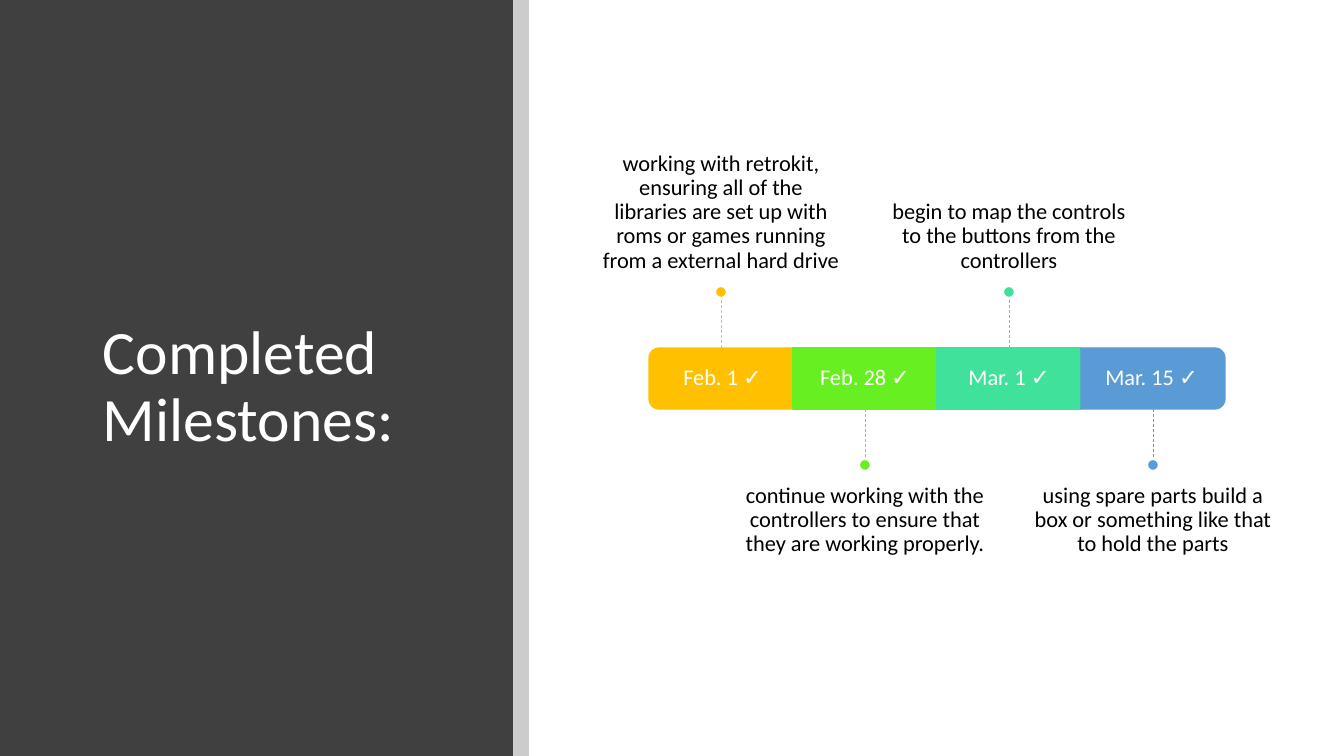
"""Build the completed milestones timeline slide."""
from dataclasses import dataclass

from lxml import etree
from pptx import Presentation
from pptx.dml.color import RGBColor
from pptx.enum.dml import MSO_LINE_DASH_STYLE as Dash
from pptx.enum.shapes import MSO_CONNECTOR as Link, MSO_SHAPE as Shape
from pptx.enum.text import MSO_ANCHOR as Anchor, PP_ALIGN as Align
from pptx.oxml.ns import qn
from pptx.util import Pt

TITLE = "Completed Milestones:"
MILESTONES = [
    ("Feb. 1 ✓", "working with retrokit, ensuring all of the libraries are set up with "
     "roms or games running from a external hard drive", "FFC000"),
    ("Feb. 28 ✓", "continue working with the controllers to ensure that they are "
     "working properly.", "67EF21"),
    ("Mar. 1 ✓", "begin to map the controls to the buttons from the controllers", "3FE19B"),
    ("Mar. 15 ✓", "using spare parts build a box or something like that to hold the parts",
     "5B9BD5"),
]


@dataclass(frozen=True)
class Theme:
    font: str = "Calibri"
    title_size: int = 44
    body_size: int = 16
    panel: str = "404040"
    light: str = "FFFFFF"
    dark: str = "000000"
    stripe_alpha: int = 20000


THEME = Theme()
SCALE = 914400 / 100.8
SLIDE_W, SLIDE_H = 1344, 756
PANEL_W, STRIPE_W = 513, 16
TITLE_BOX = (93, 90, 368, 596)
BAR_LEFT, BAR_TOP, SEGMENT_W, BAR_H = 649, 348, 144, 61
STEM, DOT, PAD, END_TRIM = 50, 12, 13, 3
CAPTION_W, CAPTION_H = 240, 215


def px(length):
    return round(length * SCALE)


def color(code):
    return RGBColor.from_string(code)


def add_shape(page, kind, bounds, fill, line=None, width=1):
    shape = page.shapes.add_shape(kind, *map(px, bounds))
    shape.shadow.inherit = False
    shape.fill.solid()
    shape.fill.fore_color.rgb = color(fill)
    if line:
        shape.line.color.rgb = color(line)
        shape.line.width = Pt(width)
    else:
        shape.line.fill.background()
    return shape


def add_text(page, bounds, text, size, ink, anchor, align, insets):
    box = page.shapes.add_textbox(*map(px, bounds))
    frame = box.text_frame
    frame.word_wrap = True
    frame.vertical_anchor = anchor
    (frame.margin_left, frame.margin_top,
     frame.margin_right, frame.margin_bottom) = map(px, insets)
    para = frame.paragraphs[0]
    para.text = text
    para.alignment = align
    para.line_spacing = 0.9
    para.font.name = THEME.font
    para.font.size = Pt(size)
    para.font.color.rgb = color(ink)


def add_segment(page, index, fill):
    left = BAR_LEFT + index * SEGMENT_W
    turns = {0: 270, len(MILESTONES) - 1: 90}
    if index not in turns:
        return add_shape(page, Shape.RECTANGLE, (left, BAR_TOP, SEGMENT_W, BAR_H), fill, fill)
    shift = (SEGMENT_W - BAR_H) / 2
    segment = add_shape(page, Shape.ROUND_2_SAME_RECTANGLE,
                        (left + shift, BAR_TOP - shift, BAR_H, SEGMENT_W), fill, fill)
    segment.rotation = turns[index]
    return segment


def add_stem(page, segment, center, start, end, fill):
    stem = page.shapes.add_connector(Link.STRAIGHT, px(center), px(start), px(center), px(end))
    if not segment.rotation:
        stem.begin_connect(segment, 0 if end < start else 2)
    stem.line.color.rgb = color(fill)
    stem.line.width = Pt(0.5)
    stem.line.dash_style = Dash.DASH
    etree.SubElement(stem._element.spPr, qn("a:effectLst"))


def add_milestone(page, index, date, caption, fill):
    left = BAR_LEFT + index * SEGMENT_W
    center = left + SEGMENT_W / 2
    segment = add_segment(page, index, fill)

    trim_left = END_TRIM if index == 0 else 0
    trim_right = END_TRIM if index == len(MILESTONES) - 1 else 0
    label = (left + trim_left, BAR_TOP, SEGMENT_W - trim_left - trim_right, BAR_H)
    add_text(page, label, date, THEME.body_size, THEME.light, Anchor.MIDDLE,
             Align.CENTER, (PAD, PAD, PAD, PAD))

    if index % 2 == 0:
        start, end = BAR_TOP, BAR_TOP - STEM
        dot_top = end - DOT
        caption_top, anchor, insets = dot_top - CAPTION_H, Anchor.BOTTOM, (0, 0, 0, PAD)
    else:
        start, end = BAR_TOP + BAR_H, BAR_TOP + BAR_H + STEM
        dot_top = end
        caption_top, anchor, insets = dot_top + DOT, Anchor.TOP, (0, PAD, 0, 0)
    add_text(page, (center - CAPTION_W / 2, caption_top, CAPTION_W, CAPTION_H), caption,
             THEME.body_size, THEME.dark, anchor, Align.CENTER, insets)
    add_stem(page, segment, center, start, end, fill)
    add_shape(page, Shape.OVAL, (center - DOT / 2, dot_top, DOT, DOT), fill, THEME.light, 1.5)


def main():
    deck = Presentation()
    deck.slide_width, deck.slide_height = px(SLIDE_W), px(SLIDE_H)
    page = deck.slides.add_slide(deck.slide_layouts[6])
    add_shape(page, Shape.RECTANGLE, (0, 0, PANEL_W, SLIDE_H), THEME.panel)
    stripe = add_shape(page, Shape.RECTANGLE, (PANEL_W, 0, STRIPE_W, SLIDE_H), THEME.dark)
    ink = stripe._element.spPr.find(qn("a:solidFill"))[0]
    etree.SubElement(ink, qn("a:alpha"), val=str(THEME.stripe_alpha))
    add_text(page, TITLE_BOX, TITLE, THEME.title_size, THEME.light, Anchor.MIDDLE,
             Align.LEFT, (10, 5, 10, 5))
    for index, milestone in enumerate(MILESTONES):
        add_milestone(page, index, *milestone)
    deck.save("out.pptx")


if __name__ == "__main__":
    main()
